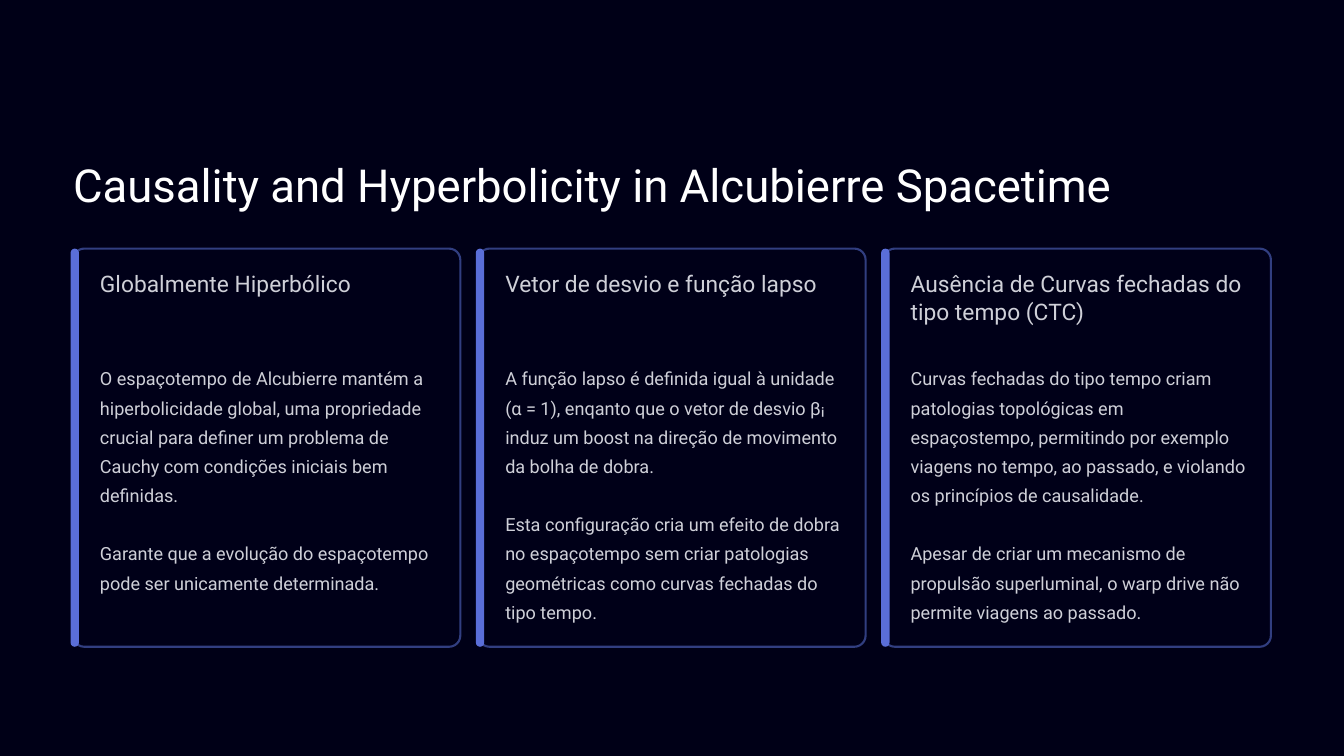
from pptx import Presentation
from pptx import util as u
from pptx.dml.color import RGBColor
from pptx.enum import shapes, text

WIDE, HIGH = 16, 9
FONT = "Roboto"
NIGHT, EDGE, BAR, PALE, WHITE = "000018", "313E80", "5A6ED8", "CFD0D8", "FFFFFF"

# Card row: equal columns at a fixed step
LEFT, TOP, STEP = 0.87, 2.96, 4.825
CARD_W, CARD_H = 4.61, 4.74

CARDS = [
    ("Globalmente Hiperbólico", [
        "O espaçotempo de Alcubierre mantém a hiperbolicidade global, uma propriedade "
        "crucial para definer um problema de Cauchy com condições iniciais bem definidas.",
        "Garante que a evolução do espaçotempo pode ser unicamente determinada."]),
    ("Vetor de desvio e função lapso", [
        "A função lapso é definida igual à unidade (α = 1), enqanto que o vetor de "
        "desvio βᵢ induz um boost na direção de movimento da bolha de dobra.",
        "Esta configuração cria um efeito de dobra no espaçotempo sem criar patologias "
        "geométricas como curvas fechadas do tipo tempo."]),
    ("Ausência de Curvas fechadas do tipo tempo (CTC)", [
        "Curvas fechadas do tipo tempo criam patologias topológicas em espaçostempo, "
        "permitindo por exemplo viagens no tempo, ao passado, e violando os princípios "
        "de causalidade.",
        "Apesar de criar um mecanismo de propulsão superluminal, o warp drive não "
        "permite viagens ao passado."]),
]


def paint(color, value):
    color.rgb = RGBColor.from_string(value)


def place(shape, x, y, w, h):
    shape.left, shape.top = u.Inches(x), u.Inches(y)
    shape.width, shape.height = u.Inches(w), u.Inches(h)


def write(shape, lines, size, color, pitch):
    """Fill a shape with paragraphs set one line apart."""
    frame = shape.text_frame
    frame.text = "\n".join(lines)
    frame.word_wrap = True
    frame.auto_size = text.MSO_AUTO_SIZE.NONE
    frame.vertical_anchor = text.MSO_ANCHOR.TOP
    frame.margin_left = frame.margin_right = 0
    frame.margin_top = frame.margin_bottom = 0
    for i, para in enumerate(frame.paragraphs):
        para.alignment = text.PP_ALIGN.LEFT
        para.line_spacing = u.Pt(pitch)
        para.space_before = u.Pt(pitch if i else 0)
        for run in para.runs:
            run.font.name, run.font.size = FONT, u.Pt(size)
            paint(run.font.color, color)


def add_text(slide, box, *style):
    label = slide.shapes.add_textbox(0, 0, 0, 0)
    place(label, *box)
    write(label, *style)


def add_panel(slide, box, round_by, fill, edge=None):
    panel = slide.shapes.add_shape(shapes.MSO_SHAPE.ROUNDED_RECTANGLE, 0, 0, 0, 0)
    place(panel, *box)
    panel.adjustments[0] = round_by
    panel.shadow.inherit = False
    panel.fill.solid()
    paint(panel.fill.fore_color, fill)
    if edge:
        paint(panel.line.color, edge)
        panel.line.width = u.Pt(1.8)
    else:
        panel.line.fill.background()


def add_title(slide, box, words):
    title = slide.shapes.title
    place(title, *box)
    write(title, [words], 39, WHITE, 48.5)


def add_card(slide, box, head, body):
    x, y, w, h = box
    inner = w - 0.56
    # Frame and accent bar
    add_panel(slide, box, 0.029, NIGHT, EDGE)
    add_panel(slide, (x - 0.03, y, 0.1, h), 0.5, BAR)
    # Heading and body
    add_text(slide, (x + 0.32, y + 0.24, inner, 0.68), [head], 19.5, PALE, 24)
    add_text(slide, (x + 0.32, y + 1.33, inner, 3.25), body, 15.5, PALE, 25)


def main():
    deck = Presentation()
    deck.slide_width, deck.slide_height = u.Inches(WIDE), u.Inches(HIGH)
    slide = deck.slides.add_slide(deck.slide_layouts[5])
    back = slide.background.fill
    back.solid()
    paint(back.fore_color, "000017")

    add_title(slide, (LEFT, 1.84, 12.52, 0.68),
              "Causality and Hyperbolicity in Alcubierre Spacetime")
    for i, (head, body) in enumerate(CARDS):
        add_card(slide, (LEFT + i * STEP, TOP, CARD_W, CARD_H), head, body)
    deck.save("out.pptx")


if __name__ == "__main__":
    main()
